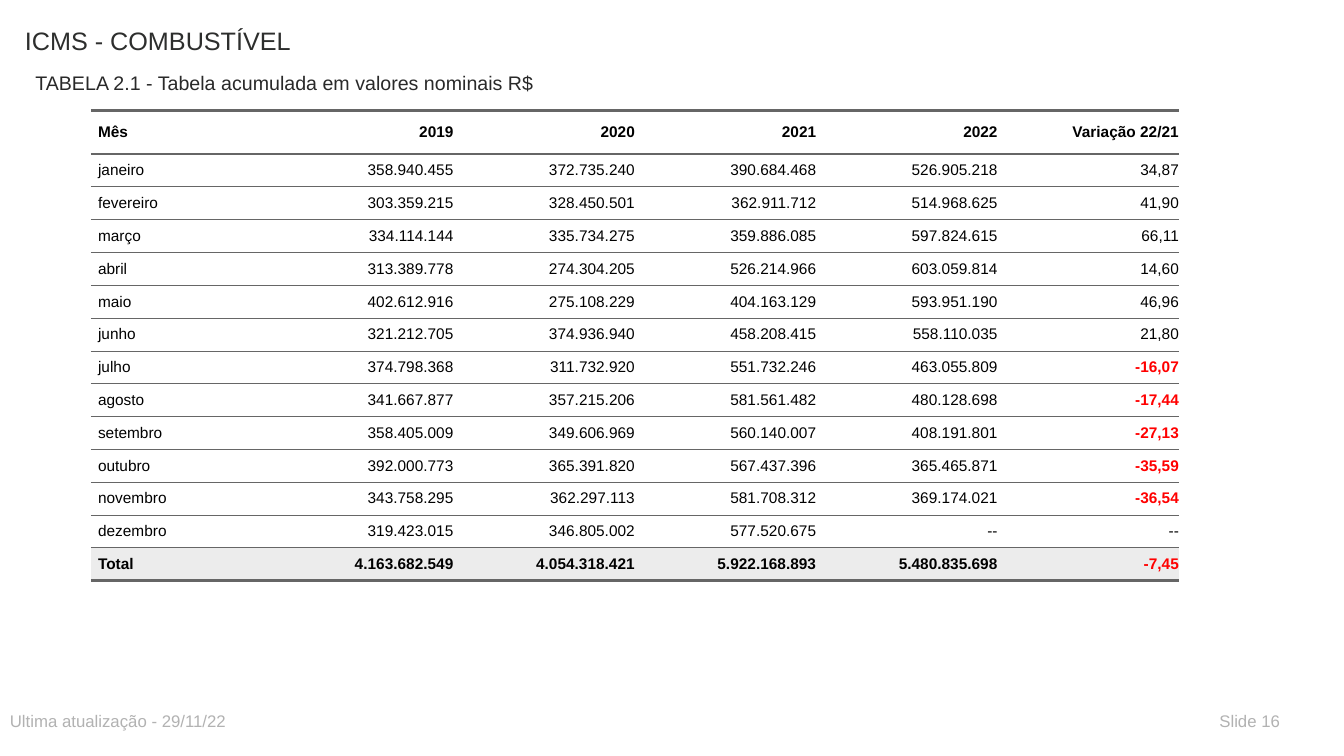
from dataclasses import dataclass

from lxml import etree
from pptx import Presentation
from pptx.dml.color import RGBColor
from pptx.enum.text import MSO_ANCHOR, PP_ALIGN
from pptx.oxml.ns import qn
from pptx.util import Cm, Pt

LEFT, RIGHT = PP_ALIGN.LEFT, PP_ALIGN.RIGHT
MIDDLE = MSO_ANCHOR.MIDDLE


@dataclass(frozen=True)
class Theme:
    font: str = "Arial"
    title: str = "2D2E2D"
    subtitle: str = "292929"
    footer: str = "B2B2B2"
    text: str = "000000"
    negative: str = "FF0000"
    rule: str = "666666"
    row_fill: str = "FFFFFF"
    total_fill: str = "ECECEC"
    title_size: int = 18
    subtitle_size: int = 14
    footer_size: int = 12
    table_size: int = 11
    thick: float = 2
    thin: float = 0.5


T = Theme()

ROWS = [
    ("Mês", "2019", "2020", "2021", "2022", "Variação 22/21"),
    ("janeiro", "358.940.455", "372.735.240", "390.684.468", "526.905.218", "34,87"),
    ("fevereiro", "303.359.215", "328.450.501", "362.911.712", "514.968.625", "41,90"),
    ("março", "334.114.144", "335.734.275", "359.886.085", "597.824.615", "66,11"),
    ("abril", "313.389.778", "274.304.205", "526.214.966", "603.059.814", "14,60"),
    ("maio", "402.612.916", "275.108.229", "404.163.129", "593.951.190", "46,96"),
    ("junho", "321.212.705", "374.936.940", "458.208.415", "558.110.035", "21,80"),
    ("julho", "374.798.368", "311.732.920", "551.732.246", "463.055.809", "-16,07"),
    ("agosto", "341.667.877", "357.215.206", "581.561.482", "480.128.698", "-17,44"),
    ("setembro", "358.405.009", "349.606.969", "560.140.007", "408.191.801", "-27,13"),
    ("outubro", "392.000.773", "365.391.820", "567.437.396", "365.465.871", "-35,59"),
    ("novembro", "343.758.295", "362.297.113", "581.708.312", "369.174.021", "-36,54"),
    ("dezembro", "319.423.015", "346.805.002", "577.520.675", "--", "--"),
    ("Total", "4.163.682.549", "4.054.318.421", "5.922.168.893", "5.480.835.698", "-7,45"),
]
COL_W, HEADER_H, ROW_H = Cm(4.57), Cm(1.09), Cm(0.64)


def set_font(p, size, color, bold=False):
    p.font.name = T.font
    p.font.size = Pt(size)
    p.font.bold = bold
    p.font.color.rgb = RGBColor.from_string(color)


def set_borders(cell, top, bottom):
    """Rule the top and bottom at the given points; leave the sides open."""
    tcPr = cell._tc.get_or_add_tcPr()
    widths = {"a:lnL": 0, "a:lnR": 0, "a:lnT": top, "a:lnB": bottom}
    for i, (tag, width) in enumerate(widths.items()):
        ln = etree.Element(qn(tag), w=str(Pt(width)))
        if width:
            fill = etree.SubElement(ln, qn("a:solidFill"))
            etree.SubElement(fill, qn("a:srgbClr"), val=T.rule)
        else:
            etree.SubElement(ln, qn("a:noFill"))
        tcPr.insert(i, ln)


prs = Presentation()
prs.slide_width, prs.slide_height = Cm(33.87), Cm(19.05)
s = prs.slides.add_slide(prs.slide_layouts[6])

# Title, subtitle and footer
for text, x, y, w, h, size, color in [
    ("ICMS - COMBUSTÍVEL", 0.38, 0.51, 20.32, 1.5, T.title_size, T.title),
    ("TABELA 2.1 - Tabela acumulada em valores nominais R$",
     0.64, 1.65, 16.51, 0.76, T.subtitle_size, T.subtitle),
    ("Ultima atualização - 29/11/22",
     0, 17.78, 16.51, 0.76, T.footer_size, T.footer),
    ("Slide 16", 30.48, 17.78, 2.29, 0.76, T.footer_size, T.footer),
]:
    tf = s.shapes.add_textbox(Cm(x), Cm(y), Cm(w), Cm(h)).text_frame
    tf.word_wrap = True
    p = tf.paragraphs[0]
    p.text = text
    set_font(p, size, color)

# Monthly table
last = len(ROWS) - 1
table = s.shapes.add_table(
    len(ROWS), len(ROWS[0]), Cm(2.29), Cm(2.79),
    COL_W * len(ROWS[0]), HEADER_H + ROW_H * last).table
table.horz_banding = False
for col in table.columns:
    col.width = COL_W
for i, values in enumerate(ROWS):
    is_header, is_total = i == 0, i == last
    table.rows[i].height = HEADER_H if is_header else ROW_H
    top = T.thick if i <= 1 else T.thin
    bottom = T.thick if is_header or is_total else T.thin
    for j, value in enumerate(values):
        cell = table.cell(i, j)
        cell.margin_left = Cm(0.18) if j == 0 else 0
        cell.margin_right = 0
        cell.margin_top = cell.margin_bottom = Cm(0.18)
        cell.vertical_anchor = MIDDLE
        cell.fill.solid()
        cell.fill.fore_color.rgb = RGBColor.from_string(
            T.total_fill if is_total else T.row_fill)
        set_borders(cell, top, bottom)
        is_negative = value.startswith("-") and value != "--"
        p = cell.text_frame.paragraphs[0]
        p.text = value
        p.alignment = LEFT if j == 0 else RIGHT
        set_font(p, T.table_size, T.negative if is_negative else T.text,
                 is_header or is_total or is_negative)

prs.save("out.pptx")
